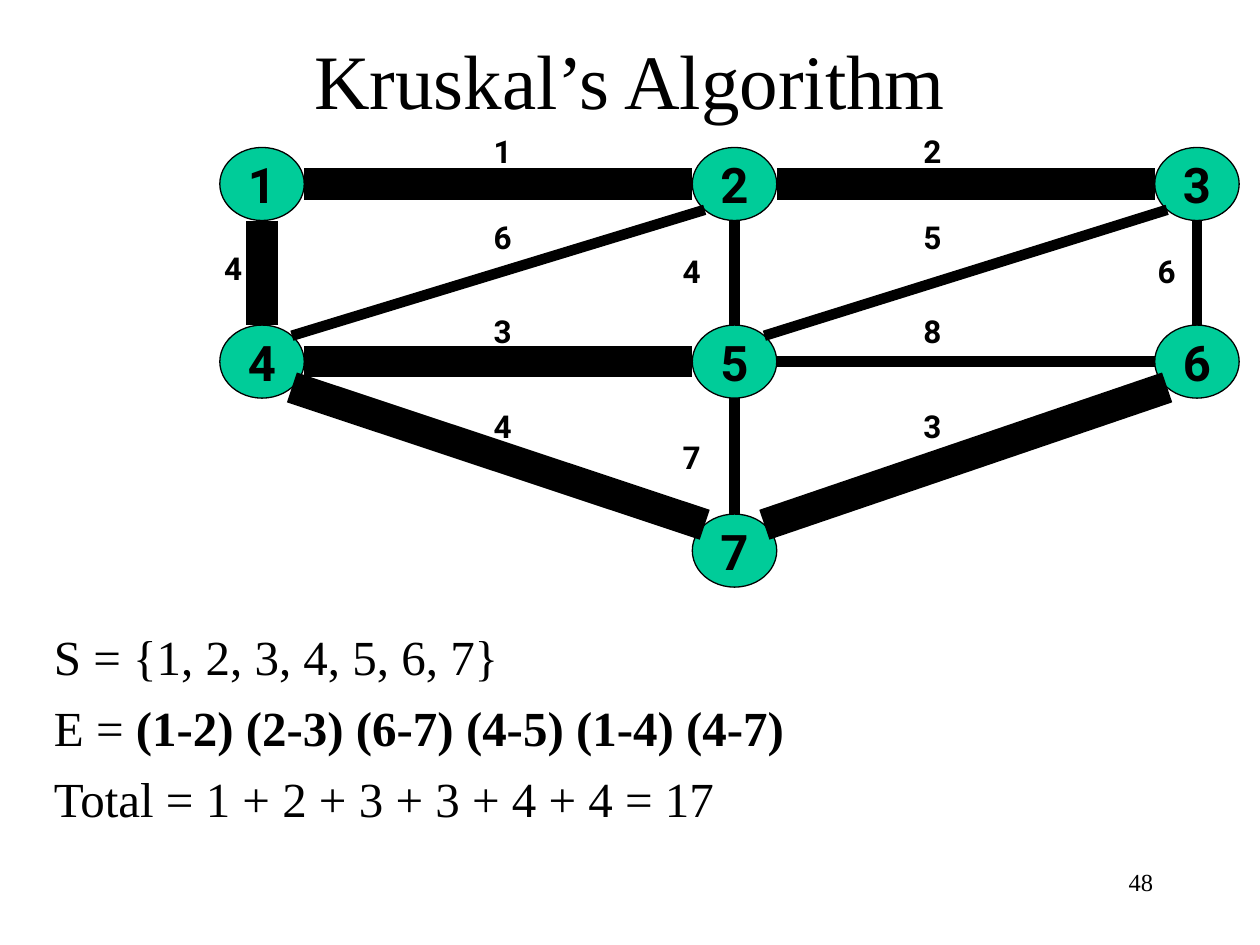
from dataclasses import dataclass
from math import hypot

from lxml import etree
from pptx import Presentation
from pptx.dml.color import RGBColor
from pptx.enum.shapes import MSO_CONNECTOR, MSO_SHAPE
from pptx.enum.text import MSO_ANCHOR, MSO_AUTO_SIZE, PP_ALIGN
from pptx.oxml.ns import qn
from pptx.util import Inches, Pt

STRAIGHT = MSO_CONNECTOR.STRAIGHT
OVAL = MSO_SHAPE.OVAL
TOP, MIDDLE = MSO_ANCHOR.TOP, MSO_ANCHOR.MIDDLE
LEFT, CENTER, RIGHT = PP_ALIGN.LEFT, PP_ALIGN.CENTER, PP_ALIGN.RIGHT
FIT_SHAPE, NO_FIT = MSO_AUTO_SIZE.SHAPE_TO_FIT_TEXT, MSO_AUTO_SIZE.NONE


@dataclass(frozen=True)
class Theme:
    ink: RGBColor = RGBColor(0, 0, 0)
    node: RGBColor = RGBColor(0x00, 0xCC, 0x99)
    serif: str = "Times New Roman"
    sans: str = "Roboto"
    title: int = 44
    body: int = 28
    weight: int = 18
    footer: int = 14
    outline: float = 0.75
    edge: int = 6
    tree_edge: int = 18


def write(frame, paragraphs, *, size, font, color, bold=False, align=LEFT,
          anchor=TOP, wrap=True, fit=NO_FIT, before=0, hanging=0):
    frame.auto_size = fit
    frame.word_wrap = wrap
    frame.vertical_anchor = anchor
    for index, runs in enumerate(paragraphs):
        paragraph = frame.paragraphs[0] if index == 0 else frame.add_paragraph()
        paragraph.alignment = align
        paragraph.space_before = Pt(before)
        if hanging:
            properties = paragraph._p.get_or_add_pPr()
            properties.set("marL", str(Inches(hanging)))
            properties.set("indent", str(-Inches(hanging)))
        for text, strong in runs:
            run = paragraph.add_run()
            run.text = text
            run.font.size = Pt(size)
            run.font.name = font
            run.font.bold = bold or strong
            run.font.color.rgb = color


class GraphSlide:
    node_width, node_height = 0.67, 0.58

    def __init__(self, presentation, theme):
        self.theme = theme
        self.slide = presentation.slides.add_slide(presentation.slide_layouts[5])

    def title(self, text, left, top, width, height):
        shape = self.slide.shapes.title
        shape.left, shape.top = Inches(left), Inches(top)
        shape.width, shape.height = Inches(width), Inches(height)
        write(shape.text_frame, [[(text, False)]], size=self.theme.title,
              font=self.theme.serif, color=self.theme.ink, align=CENTER,
              anchor=MIDDLE)

    def text(self, paragraphs, left, top, width, height, **style):
        box = self.slide.shapes.add_textbox(
            Inches(left), Inches(top), Inches(width), Inches(height))
        write(box.text_frame, paragraphs, color=self.theme.ink, **style)

    def node(self, label, center):
        x, y = center
        shape = self.slide.shapes.add_shape(
            OVAL, Inches(x - self.node_width / 2), Inches(y - self.node_height / 2),
            Inches(self.node_width), Inches(self.node_height))
        shape.shadow.inherit = False
        shape.fill.solid()
        shape.fill.fore_color.rgb = self.theme.node
        shape.line.color.rgb = self.theme.ink
        shape.line.width = Pt(self.theme.outline)
        write(shape.text_frame, [[(label, False)]], size=self.theme.body,
              font=self.theme.sans, color=self.theme.ink, bold=True,
              align=CENTER, anchor=MIDDLE, wrap=False)

    def edge(self, start, end, in_tree):
        across = (end[0] > start[0]) - (end[0] < start[0])
        down = (end[1] > start[1]) - (end[1] < start[1])
        reach = hypot(across, down)
        dx = across / reach * self.node_width / 2
        dy = down / reach * self.node_height / 2
        line = self.slide.shapes.add_connector(
            STRAIGHT, Inches(start[0] + dx), Inches(start[1] + dy),
            Inches(end[0] - dx), Inches(end[1] - dy))
        line.line.color.rgb = self.theme.ink
        line.line.width = Pt(self.theme.tree_edge if in_tree else self.theme.edge)
        etree.SubElement(line._element.spPr, qn("a:effectLst"))

    def weight(self, value, left, top):
        self.text([[(str(value), False)]], left, top, 0.34, 0.4,
                  size=self.theme.weight, font=self.theme.sans, bold=True,
                  wrap=False, fit=FIT_SHAPE)


COLUMNS = (2.08, 5.83, 9.5)
ROWS = (1.46, 2.87, 4.37)
NODES = {str(row * 3 + column + 1): (COLUMNS[column], ROWS[row])
         for row in range(2) for column in range(3)}
NODES["7"] = (COLUMNS[1], ROWS[2])

WEST, EAST = 3.82, 7.23
EDGES = [
    ("1", "2", 1, True, WEST, 1),
    ("2", "3", 2, True, EAST, 1),
    ("1", "4", 4, True, 1.68, 1.93),
    ("4", "5", 3, True, WEST, 2.43),
    ("5", "2", 4, False, 5.32, 1.95),
    ("5", "6", 8, False, EAST, 2.43),
    ("6", "3", 6, False, 9.09, 1.95),
    ("5", "7", 7, False, 5.32, 3.43),
    ("4", "7", 4, True, WEST, 3.18),
    ("4", "2", 6, False, WEST, 1.68),
    ("5", "3", 5, False, EAST, 1.68),
    ("7", "6", 3, True, EAST, 3.18),
]
SUMMARY = [
    [("S = {1, 2, 3, 4, 5, 6, 7}", False)],
    [("E = ", False), ("(1-2) (2-3) (6-7) (4-5) (1-4) (4-7)", True)],
    [("Total = 1 + 2 + 3 + 3 + 4 + 4 = 17", False)],
]

presentation = Presentation()
presentation.slide_width, presentation.slide_height = Inches(10), Inches(7.5)
theme = Theme()
graph = GraphSlide(presentation, theme)
graph.title("Kruskal’s Algorithm", 0.33, 0, 9.34, 1.25)
graph.text(SUMMARY, 0.33, 4.92, 9.34, 2.25, size=theme.body, font=theme.serif,
           before=7, hanging=0.38)
for label, center in NODES.items():
    graph.node(label, center)
for start, end, value, in_tree, left, top in EDGES:
    graph.edge(NODES[start], NODES[end], in_tree)
for start, end, value, in_tree, left, top in EDGES:
    graph.weight(value, left, top)
graph.text([[("48", False)]], 7.17, 6.83, 2.08, 0.5, size=theme.footer,
           font=theme.serif, align=RIGHT)
presentation.save("out.pptx")
